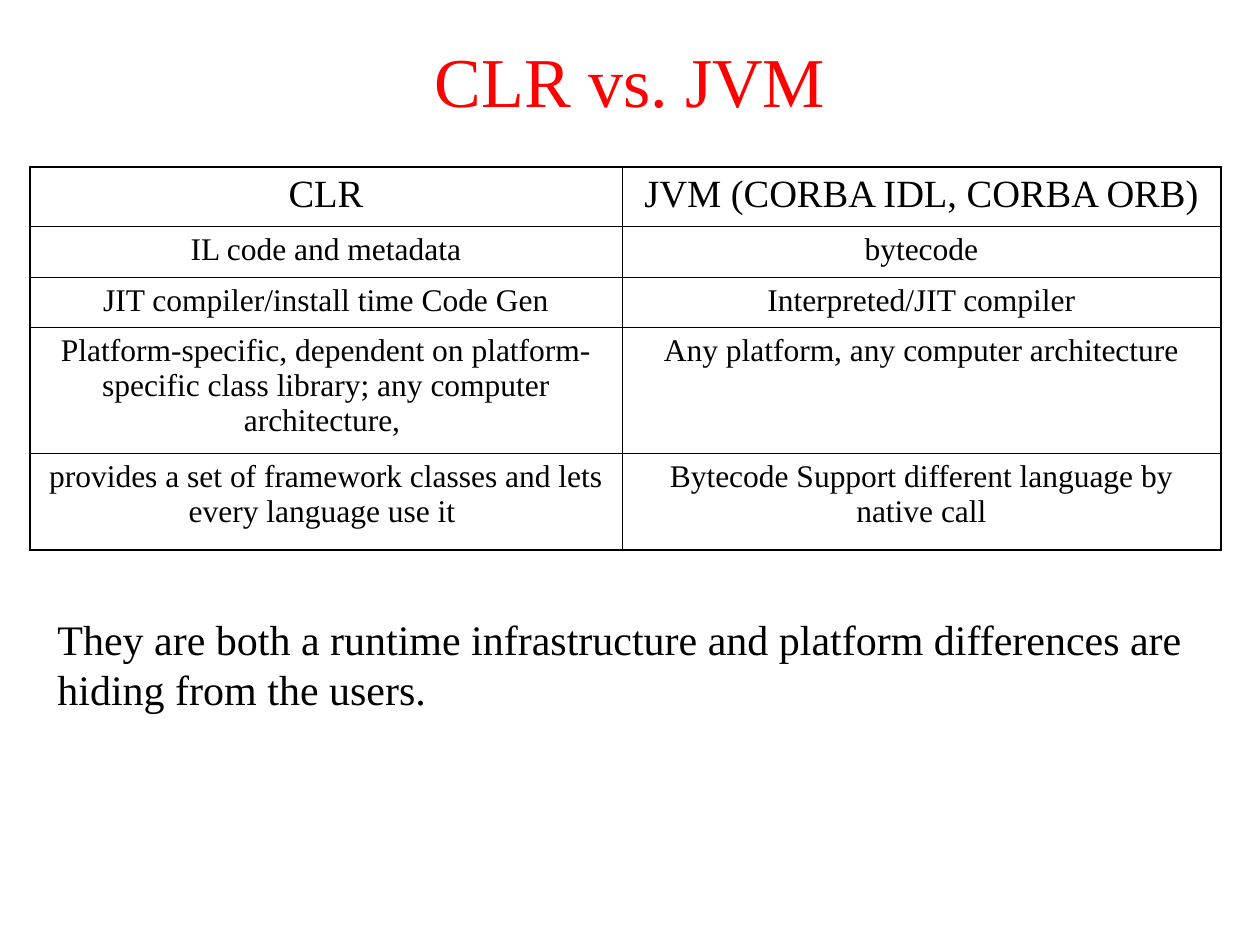
from lxml.etree import SubElement
from pptx import Presentation
from pptx.dml.color import RGBColor
from pptx.enum.text import MSO_ANCHOR as Anchor, PP_ALIGN as Align
from pptx.oxml.ns import qn
from pptx.util import Pt

PX = 914400 // 126
FONT = "Times New Roman"
RED, BLACK = "FF0000", "000000"
THIN, THICK = 0.45, 1.08

TITLE = "CLR vs. JVM"
ROWS = [
    ("CLR", "JVM (CORBA IDL, CORBA ORB)"),
    ("IL code and metadata", "bytecode"),
    ("JIT compiler/install time Code Gen", "Interpreted/JIT compiler"),
    ("Platform-specific, dependent on platform-specific class library; "
     "any computer architecture, ",
     "Any platform, any computer architecture"),
    ("provides a set of framework classes and lets every language use it ",
     "Bytecode Support different language by native call"),
]
NOTE = ("They are both a runtime infrastructure and platform differences "
        "are hiding from the users.")
WIDTHS = [592, 599]
HEIGHTS = [59, 51, 50, 126, 97]


def box(*sizes):
    return [size * PX for size in sizes]


def write(frame, text, size, color=BLACK, align=Align.CENTER):
    frame.text = text
    frame.word_wrap = True
    para = frame.paragraphs[0]
    para.alignment = align
    font = para.runs[0].font
    font.name, font.size, font.bold = FONT, Pt(size), False
    font.color.rgb = RGBColor.from_string(color)


def border(cell, edges):
    """Draw the cell's sides; edges maps L, R, T, B to points."""
    props = cell._tc.get_or_add_tcPr()
    for side, width in edges.items():
        line = SubElement(props, qn(f"a:ln{side}"), w=str(Pt(width)))
        fill = SubElement(line, qn("a:solidFill"))
        SubElement(fill, qn("a:srgbClr"), val=BLACK)


prs = Presentation()
prs.slide_width, prs.slide_height = box(1260, 945)
slide = prs.slides.add_slide(prs.slide_layouts[5])

title = slide.shapes.title
title.left, title.top, title.width, title.height = box(0, 0, 1260, 158)
write(title.text_frame, TITLE, 40, RED)
title.text_frame.vertical_anchor = Anchor.MIDDLE

table = slide.shapes.add_table(
    len(ROWS), len(WIDTHS), *box(30, 167, sum(WIDTHS), sum(HEIGHTS))).table
table.first_row = table.horz_banding = False
for col, width in zip(table.columns, WIDTHS):
    col.width = width * PX
for row, height in zip(table.rows, HEIGHTS):
    row.height = height * PX

last_row, last_col = len(ROWS) - 1, len(WIDTHS) - 1
for r, texts in enumerate(ROWS):
    for c, text in enumerate(texts):
        cell = table.cell(r, c)
        write(cell.text_frame, text, 18 if r else 22)
        outer = {"L": c == 0, "R": c == last_col,
                 "T": r == 0, "B": r == last_row}
        border(cell, {side: THICK if out else THIN
                      for side, out in outer.items()})
        cell.fill.background()

note = slide.shapes.add_textbox(*box(45, 607, 1169, 113))
write(note.text_frame, NOTE, 24, align=Align.LEFT)

prs.save("out.pptx")
